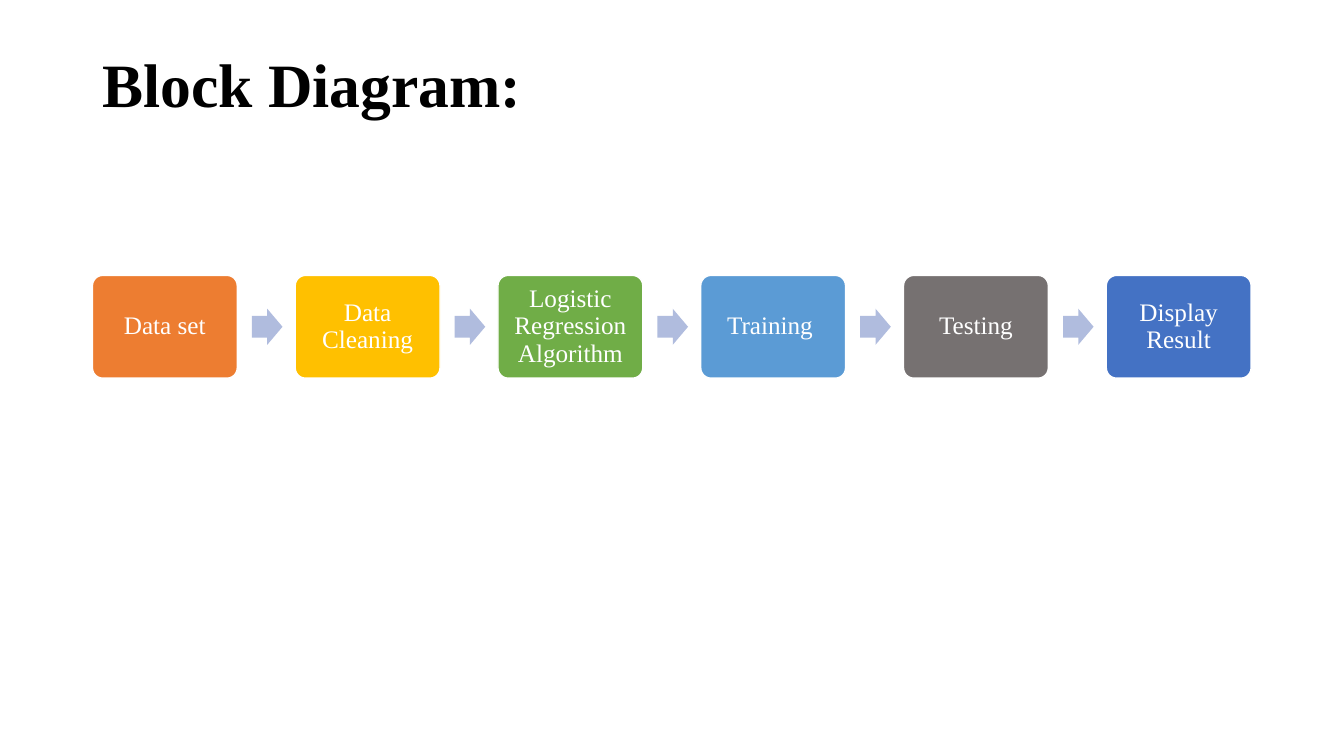
from pptx import Presentation
from pptx.dml.color import RGBColor
from pptx.enum.shapes import MSO_SHAPE
from pptx.enum.text import MSO_ANCHOR, MSO_AUTO_SIZE, PP_ALIGN
from pptx.util import Cm, Pt

ROUNDED = MSO_SHAPE.ROUNDED_RECTANGLE
ARROW = MSO_SHAPE.RIGHT_ARROW
MIDDLE = MSO_ANCHOR.MIDDLE
NO_AUTOFIT = MSO_AUTO_SIZE.NONE
LEFT = PP_ALIGN.LEFT
CENTER = PP_ALIGN.CENTER

BLACK = RGBColor(0x00, 0x00, 0x00)
WHITE = RGBColor(0xFF, 0xFF, 0xFF)
ORANGE = RGBColor(0xED, 0x7D, 0x31)
GOLD = RGBColor(0xFF, 0xC0, 0x00)
GREEN = RGBColor(0x70, 0xAD, 0x47)
SKY = RGBColor(0x5B, 0x9B, 0xD5)
GRAY = RGBColor(0x76, 0x71, 0x71)
BLUE = RGBColor(0x44, 0x72, 0xC4)
LAVENDER = RGBColor(0xB0, 0xBC, 0xDE)

STEPS = [
    ("Data set", ORANGE),
    ("Data Cleaning", GOLD),
    ("Logistic Regression Algorithm", GREEN),
    ("Training ", SKY),
    ("Testing", GRAY),
    ("Display Result", BLUE),
]
MARGIN = 2.33
PITCH = 5.11
BOX_TOP, BOX_WIDTH, BOX_HEIGHT = 6.94, 3.65, 2.59
ARROW_OFFSET, ARROW_WIDTH, ARROW_HEIGHT = 4.02, 0.77, 0.91
ARROW_TOP = BOX_TOP + (BOX_HEIGHT - ARROW_HEIGHT) / 2


def write_text(frame, text, *, size, color, font, bold=False, align=CENTER):
    frame.word_wrap = True
    frame.auto_size = NO_AUTOFIT
    frame.vertical_anchor = MIDDLE
    paragraph = frame.paragraphs[0]
    paragraph.alignment = align
    paragraph.line_spacing = 0.9
    run = paragraph.add_run()
    run.text = text
    run.font.name = font
    run.font.size = Pt(size)
    run.font.bold = bold
    run.font.color.rgb = color


class BlockDiagram:
    """Draws titles, step boxes and arrows on one slide in a shared style."""

    font = "Times New Roman"

    def __init__(self, slide):
        self.slide = slide

    def title(self, text, left, top, width, height):
        title = self.slide.shapes.title
        title.left, title.top = Cm(left), Cm(top)
        title.width, title.height = Cm(width), Cm(height)
        write_text(title.text_frame, text, size=44, color=BLACK,
                   font=self.font, bold=True, align=LEFT)

    def block(self, kind, left, top, width, height, fill):
        shape = self.slide.shapes.add_shape(
            kind, Cm(left), Cm(top), Cm(width), Cm(height))
        shape.shadow.inherit = False
        shape.fill.solid()
        shape.fill.fore_color.rgb = fill
        return shape

    def step(self, text, left, fill):
        box = self.block(ROUNDED, left, BOX_TOP, BOX_WIDTH, BOX_HEIGHT, fill)
        box.adjustments[0] = 0.1
        box.line.color.rgb = WHITE
        box.line.width = Pt(1)
        frame = box.text_frame
        frame.margin_left = frame.margin_right = Cm(0.17)
        frame.margin_top = frame.margin_bottom = Cm(0.17)
        write_text(frame, text, size=18, color=WHITE, font=self.font)

    def arrow(self, left):
        arrow = self.block(ARROW, left, ARROW_TOP, ARROW_WIDTH, ARROW_HEIGHT,
                           LAVENDER)
        arrow.adjustments[0] = 0.6
        arrow.adjustments[1] = 0.5
        arrow.line.fill.background()


def main():
    presentation = Presentation()
    presentation.slide_width = Cm(33.87)
    presentation.slide_height = Cm(19.05)
    title_only = presentation.slide_layouts[5]
    diagram = BlockDiagram(presentation.slides.add_slide(title_only))

    diagram.title("Block Diagram:", MARGIN, 1.02, 29.21, 2.36)
    for index, (text, color) in enumerate(STEPS):
        left = MARGIN + index * PITCH
        if index:
            diagram.arrow(left - PITCH + ARROW_OFFSET)
        diagram.step(text, left, color)

    presentation.save("out.pptx")


if __name__ == "__main__":
    main()
